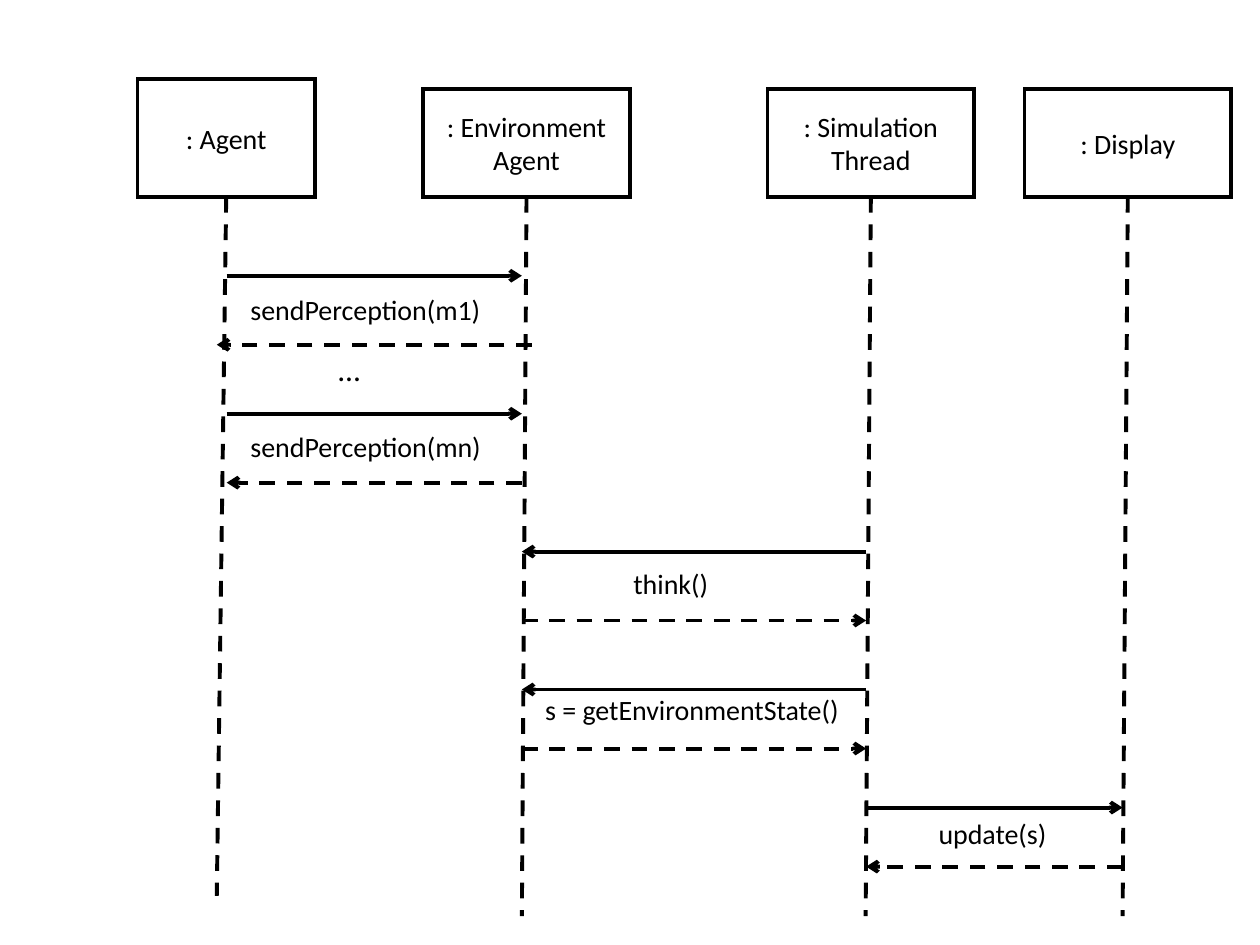
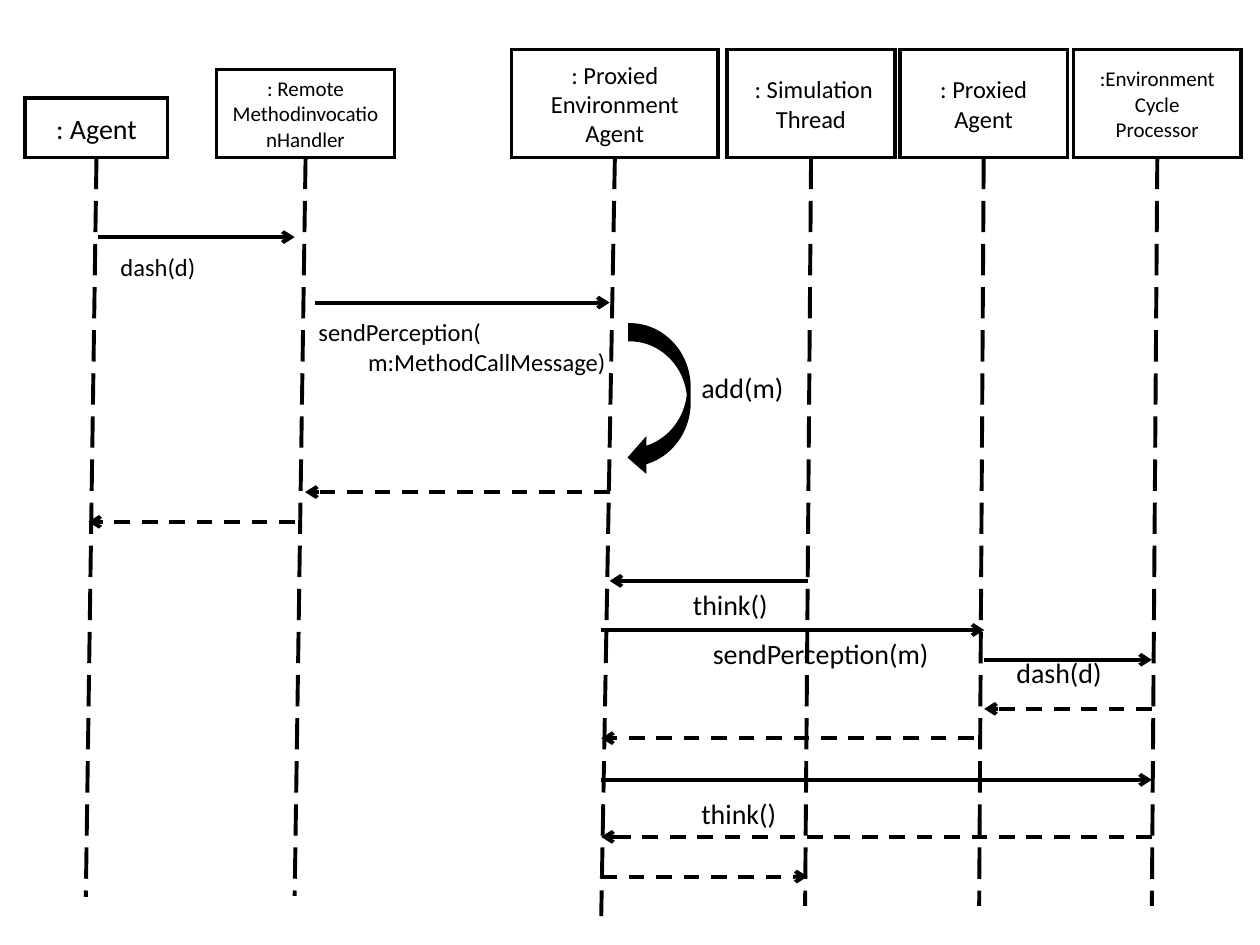
from lxml import etree
from pptx import Presentation
from pptx.dml.color import RGBColor
from pptx.enum.dml import MSO_LINE
from pptx.enum.shapes import MSO_CONNECTOR, MSO_SHAPE
from pptx.enum.text import MSO_ANCHOR, MSO_AUTO_SIZE, PP_ALIGN
from pptx.oxml.ns import qn
from pptx.util import Cm, Pt

DASH, LONG_DASH = MSO_LINE.DASH, MSO_LINE.LONG_DASH
RECT, LOOP_ARROW = MSO_SHAPE.RECTANGLE, MSO_SHAPE.CURVED_LEFT_ARROW
STRAIGHT = MSO_CONNECTOR.STRAIGHT
LEFT, CENTER = PP_ALIGN.LEFT, PP_ALIGN.CENTER

FONT, INK, PAPER = "Calibri", "000000", "FFFFFF"
BOX_LINE, ARROW_LINE = 2, 2.25
CALL, REPLY = None, DASH  # dash style of a message
INDENT = 1.0

# Lifeline positions where messages start and end (cm)
AGENT, ENV, SIM, DISPLAY = 4.57, 10.52, 17.46, 22.63
HANDLER, PROXY_ENV, CYCLE_SIM, PROXY, CYCLE = 5.94, 12.12, 16.28, 19.84, 23.22
PROXY_ENV_TOP = 12.29  # the slanted lifeline higher up

# Message rows of the first diagram: two even steps
ROWS = [5.56 + 1.39 * i for i in range(7)] + [13.9 + 1.19 * i for i in (1, 2, 3)]

# participants: lines, size, left, width, height, lifeline foot x, foot y
# messages: from x, to x, y, style
# labels: lines, size, left, top, width (, wrap)
DIAGRAMS = [
    {
        "box_bottom": 3.97,
        "lifeline": DASH,
        "participants": [
            ([": Agent"], 16, 2.77, 3.58, 2.38, 4.37, 18.06),
            ([": Environment", "Agent"], 16, 8.53, 4.17, 2.18, 10.52, 18.47),
            ([": Simulation", "Thread"], 16, 15.47, 4.17, 2.18, 17.45, 18.47),
            ([": Display"], 16, 20.65, 4.17, 2.18, 22.63, 18.47),
        ],
        "messages": [
            (AGENT, ENV, ROWS[0], CALL),
            (10.72, 4.37, ROWS[1], REPLY),
            (AGENT, ENV, ROWS[2], CALL),
            (ENV, AGENT, ROWS[3], REPLY),
            (SIM, ENV, ROWS[4], CALL),
            (ENV, SIM, ROWS[5], REPLY),
            (SIM, ENV, ROWS[6], CALL),
            (ENV, SIM, ROWS[7], REPLY),
            (SIM, DISPLAY, ROWS[8], CALL),
            (DISPLAY, SIM, ROWS[9], REPLY),
        ],
        "labels": [
            (["sendPerception(m1)"], 16, 4.8, 5.77, 5.16),
            (["..."], 18, 6.55, 6.93, 0.99),
            (["sendPerception(mn)"], 16, 4.8, 8.53, 5.18),
            (["think()"], 16, 12.52, 11.3, 2.01),
            (["s = getEnvironmentState()"], 16, 10.74, 13.84, 6.48),
            (["update(s)"], 16, 18.67, 16.33, 2.69),
        ],
        "self_calls": [],
    },
    {
        "box_bottom": 3.18,
        "lifeline": LONG_DASH,
        "participants": [
            ([": Agent"], 16, 0.51, 2.87, 1.2, 1.73, 18.08),
            ([": Remote", "MethodinvocationHandler"], 12, 4.37, 3.58, 1.78, 5.94, 18.06),
            ([": Proxied", "Environment", "Agent"], 14, 10.31, 4.17, 2.18, 12.12, 18.47),
            ([" : Simulation", "Thread"], 14, 14.66, 3.38, 2.18, 16.23, 18.26),
            ([": Proxied", "Agent"], 14, 18.14, 3.38, 2.18, 19.74, 18.26),
            ([":Environment", "Cycle", "Processor"], 12, 21.64, 3.38, 2.18, 23.22, 18.26),
        ],
        "messages": [
            (1.98, HANDLER, 4.78, CALL),
            (6.35, PROXY_ENV_TOP, 6.1, CALL),
            (PROXY_ENV_TOP, 6.15, 9.92, REPLY),
            (HANDLER, 1.78, 10.52, REPLY),
            (CYCLE_SIM, PROXY_ENV_TOP, 11.71, CALL),
            (PROXY_ENV, PROXY, 12.7, CALL),
            (PROXY, CYCLE, 13.3, CALL),
            (CYCLE, PROXY, 14.29, REPLY),
            (19.63, PROXY_ENV, 14.88, REPLY),
            (PROXY_ENV, CYCLE, 15.72, CALL),
            (CYCLE, PROXY_ENV, 16.87, REPLY),
            (PROXY_ENV, CYCLE_SIM, 17.67, REPLY),
        ],
        "labels": [
            (["dash(d)"], 14, 2.18, 4.95, 5.79, True),
            (["sendPerception(", "m:MethodCallMessage)"], 14, 6.17, 6.27, 6.3),
            (["add(m)"], 16, 13.89, 7.34, 2.18),
            (["think()"], 16, 13.72, 11.71, 2.01),
            (["sendPerception(m)"], 16, 14.12, 12.7, 4.88),
            (["dash(d)"], 16, 20.24, 13.08, 2.35),
            (["think()"], 16, 13.89, 15.93, 2.01),
        ],
        "self_calls": [(12.7, 6.55, 1.19, 2.97)],
    },
]


def rgb(value):
    return RGBColor.from_string(value)


def write(tf, lines, size, align):
    for i, line in enumerate(lines):
        p = tf.paragraphs[0] if i == 0 else tf.add_paragraph()
        p.alignment = align
        r = p.add_run()
        r.text = line
        r.font.name, r.font.size = FONT, Pt(size)
        r.font.color.rgb = rgb(INK)


def add_shape(s, kind, left, top, width, height, fill):
    sp = s.shapes.add_shape(kind, Cm(left), Cm(top), Cm(width), Cm(height))
    sp.shadow.inherit = False
    sp.fill.solid()
    sp.fill.fore_color.rgb = rgb(fill)
    sp.line.color.rgb = rgb(INK)
    sp.line.width = Pt(BOX_LINE)
    # Sharp corners
    etree.SubElement(sp._element.spPr.find(qn("a:ln")), qn("a:miter"), lim="800000")
    return sp


def add_line(s, x1, y1, x2, y2, dash=None, arrow=False):
    c = s.shapes.add_connector(STRAIGHT, Cm(x1), Cm(y1), Cm(x2), Cm(y2))
    c.line.color.rgb = rgb(INK)
    c.line.width = Pt(ARROW_LINE)
    if dash is not None:
        c.line.dash_style = dash
    sp_pr = c._element.spPr
    if arrow:
        etree.SubElement(sp_pr.find(qn("a:ln")), qn("a:tailEnd"), type="arrow")
    etree.SubElement(sp_pr, qn("a:effectLst"))


def add_participant(s, bottom, dash, lines, size, left, width, height, foot_x, foot_y):
    add_line(s, left + width / 2, bottom, foot_x, foot_y, dash)
    sp = add_shape(s, RECT, left, bottom - height, width, height, PAPER)
    tf = sp.text_frame
    tf.word_wrap = True
    tf.vertical_anchor = MSO_ANCHOR.MIDDLE
    write(tf, lines, size, CENTER)


def add_label(s, lines, size, left, top, width, wrap=False):
    height = Pt(size * 1.22 * len(lines)) + Cm(0.25)
    tf = s.shapes.add_textbox(Cm(left), Cm(top), Cm(width), height).text_frame
    tf.word_wrap = wrap
    tf.auto_size = MSO_AUTO_SIZE.SHAPE_TO_FIT_TEXT
    write(tf, lines, size, LEFT)
    # Continuation lines are indented
    for p in tf.paragraphs[1:]:
        p._p.get_or_add_pPr().set("marL", str(Cm(INDENT)))


def add_diagram(prs, diagram):
    s = prs.slides.add_slide(prs.slide_layouts[6])
    for participant in diagram["participants"]:
        add_participant(s, diagram["box_bottom"], diagram["lifeline"], *participant)
    for x1, x2, y, style in diagram["messages"]:
        add_line(s, x1, y, x2, y, style, arrow=True)
    for place in diagram["self_calls"]:
        add_shape(s, LOOP_ARROW, *place, INK)
    for label in diagram["labels"]:
        add_label(s, *label)


def main():
    prs = Presentation()
    prs.slide_width, prs.slide_height = Cm(25.4), Cm(19.05)
    for diagram in DIAGRAMS:
        add_diagram(prs, diagram)
    prs.save("out.pptx")


if __name__ == "__main__":
    main()
